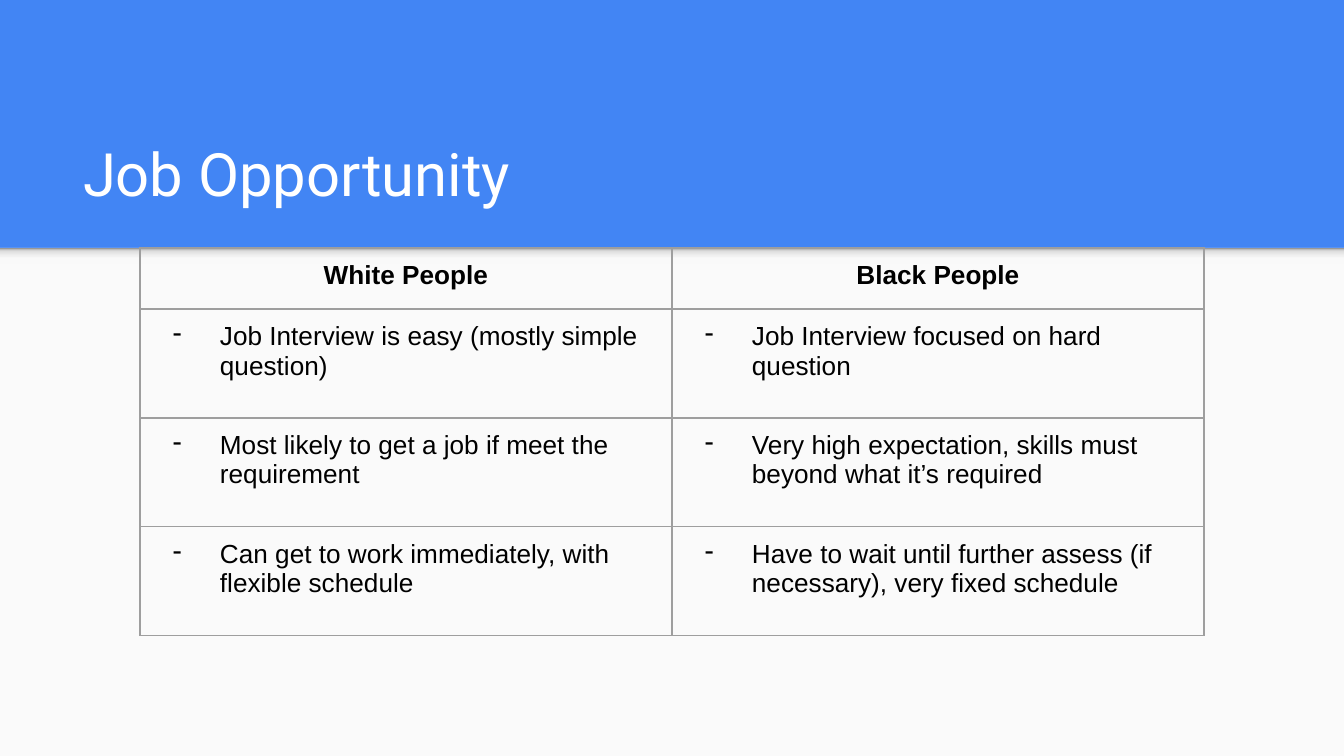
from lxml import etree
from pptx import Presentation
from pptx.dml.color import RGBColor
from pptx.enum.shapes import MSO_SHAPE
from pptx.enum.text import MSO_ANCHOR, PP_ALIGN
from pptx.oxml import parse_xml
from pptx.oxml.ns import nsdecls, qn
from pptx.util import Pt

PX = 914400 / 134.4
RECTANGLE = MSO_SHAPE.RECTANGLE
BOTTOM, TOP = MSO_ANCHOR.BOTTOM, MSO_ANCHOR.TOP
LEFT, CENTER = PP_ALIGN.LEFT, PP_ALIGN.CENTER

BLUE = RGBColor(0x42, 0x85, 0xF4)
PAPER = RGBColor(0xFA, 0xFA, 0xFA)
WHITE = RGBColor(0xFF, 0xFF, 0xFF)
BLACK = RGBColor(0x00, 0x00, 0x00)
BORDER = RGBColor(0x9E, 0x9E, 0x9E)
SHADE_STOPS = [(0, "F9F9F9"), (36, "F9F9F9"), (80, "DEDEDE"), (100, "999999")]

INSET = 13
HEADER_BOTTOM = 248
COLUMN_WIDTH = 532
ROW_HEIGHTS = [61, 109, 109, 109]
ROWS = [
    ("White People", "Black People"),
    ("Job Interview is easy (mostly simple question)",
     "Job Interview focused on hard question"),
    ("Most likely to get a job if meet the requirement",
     "Very high expectation, skills must beyond what it’s required"),
    ("Can get to work immediately, with flexible schedule",
     "Have to wait until further assess (if necessary), very fixed schedule"),
]


def px(*lengths):
    return [round(length * PX) for length in lengths]


def write(paragraph, text, font, size, color, bold=False):
    run = paragraph.add_run()
    run.text = text
    run.font.name = font
    run.font.size = Pt(size)
    run.font.color.rgb = color
    run.font.bold = bold


prs = Presentation()
prs.slide_width, prs.slide_height = px(1344, 756)
slide = prs.slides.add_slide(prs.slide_layouts[5])
slide.background.fill.solid()
slide.background.fill.fore_color.rgb = BLUE

# Light body area and the shade under the blue header
body = slide.shapes.add_shape(RECTANGLE, *px(0, HEADER_BOTTOM, 1344, 508))
body.fill.solid()
body.fill.fore_color.rgb = PAPER
shade = slide.shapes.add_shape(RECTANGLE, *px(0, HEADER_BOTTOM, 1344, 16))
shade.fill.gradient()
shade.fill.gradient_angle = 90
stops = shade._element.spPr.find(qn("a:gradFill")).find(qn("a:gsLst"))
for stop in list(stops):
    stops.remove(stop)
for position, color in SHADE_STOPS:
    stop = etree.SubElement(stops, qn("a:gs"), pos=str(position * 1000))
    etree.SubElement(stop, qn("a:srgbClr"), val=color)
for band in (body, shade):
    band.line.fill.background()
    band.shadow.inherit = False

# Title
title = slide.shapes.title
title.left, title.top, title.width, title.height = px(70, 109, 1208, 113)
title_frame = title.text_frame
title_frame.vertical_anchor = BOTTOM
(title_frame.margin_left, title_frame.margin_top,
 title_frame.margin_right, title_frame.margin_bottom) = px(*[INSET] * 4)
title_frame.paragraphs[0].alignment = LEFT
write(title_frame.paragraphs[0], "Job Opportunity", "Roboto", 32, WHITE)

# Comparison table
comparison = slide.shapes.add_table(
    len(ROWS), 2,
    *px(140, HEADER_BOTTOM, 2 * COLUMN_WIDTH, sum(ROW_HEIGHTS))).table
comparison.first_row = comparison.horz_banding = False
for column in comparison.columns:
    column.width = px(COLUMN_WIDTH)[0]

for r, texts in enumerate(ROWS):
    comparison.rows[r].height = px(ROW_HEIGHTS[r])[0]
    is_header = r == 0
    for c, text in enumerate(texts):
        cell = comparison.cell(r, c)
        (cell.margin_left, cell.margin_top,
         cell.margin_right, cell.margin_bottom) = px(*[INSET] * 4)
        cell.vertical_anchor = TOP
        cell.fill.background()
        properties = cell._tc.get_or_add_tcPr()
        for i, side in enumerate(("lnL", "lnR", "lnT", "lnB")):
            properties.insert(i, parse_xml(
                f'<a:{side} {nsdecls("a")} w="{Pt(0.75)}"><a:solidFill>'
                f'<a:srgbClr val="{BORDER}"/></a:solidFill></a:{side}>'))

        paragraph = cell.text_frame.paragraphs[0]
        paragraph.alignment = CENTER if is_header else LEFT
        if not is_header:
            indents = paragraph._p.get_or_add_pPr()
            margin, hanging = px(67, -47)
            indents.set("marL", str(margin))
            indents.set("indent", str(hanging))
            bullet_color = etree.SubElement(indents, qn("a:buClr"))
            etree.SubElement(bullet_color, qn("a:srgbClr"), val=str(BLACK))
            etree.SubElement(indents, qn("a:buChar"), char="-")
        write(paragraph, text, "Arial", 14, BLACK, is_header)

prs.save("out.pptx")
